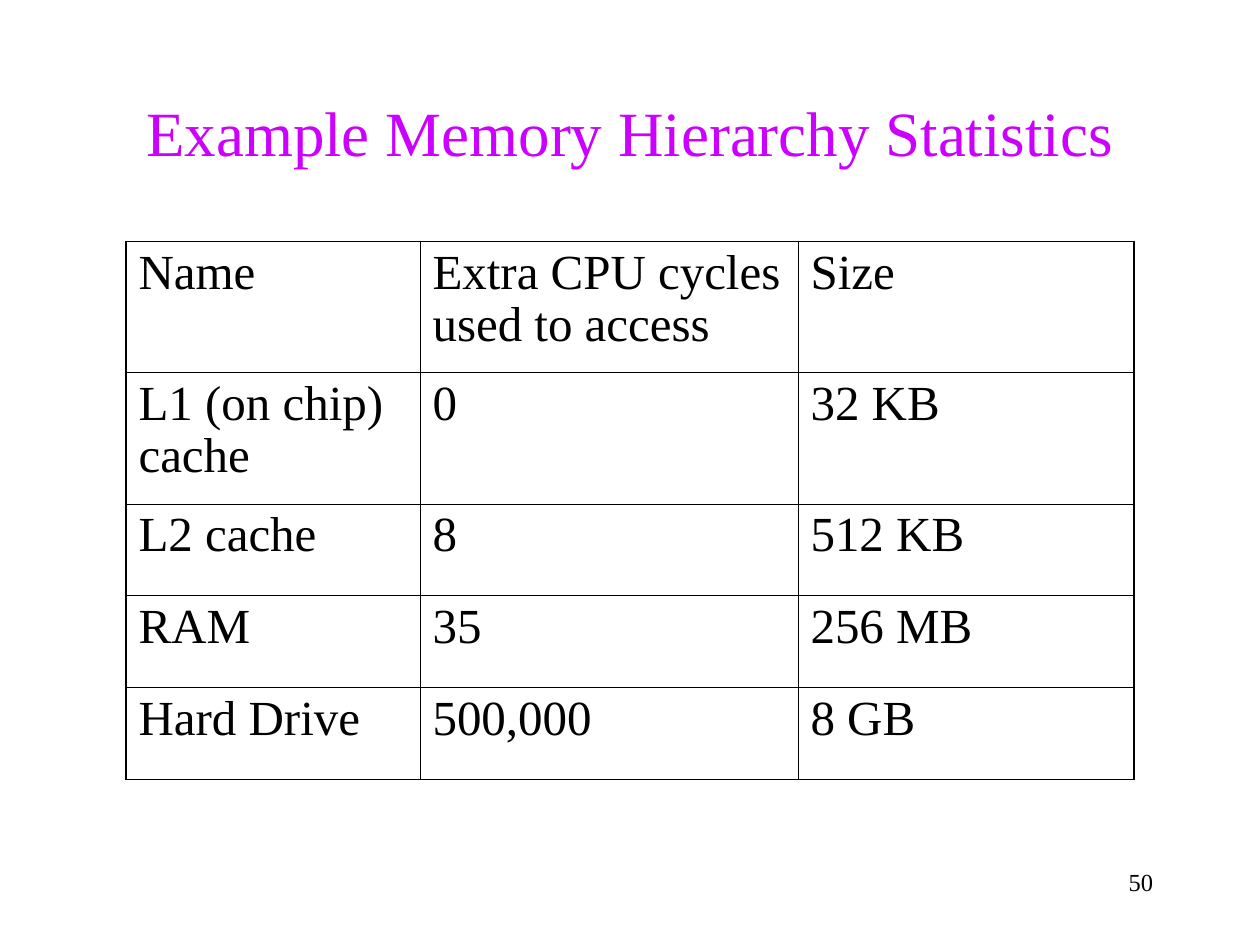
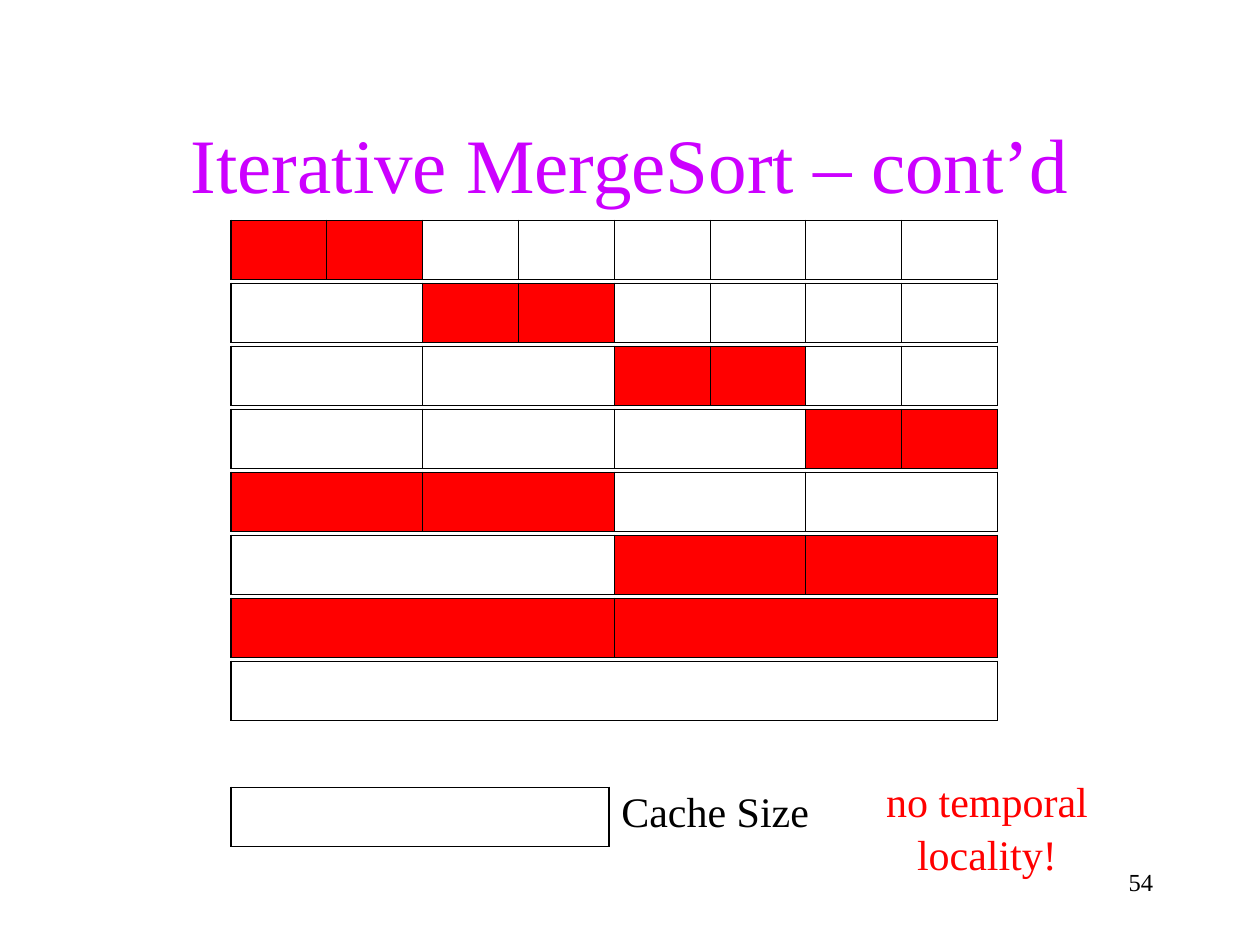
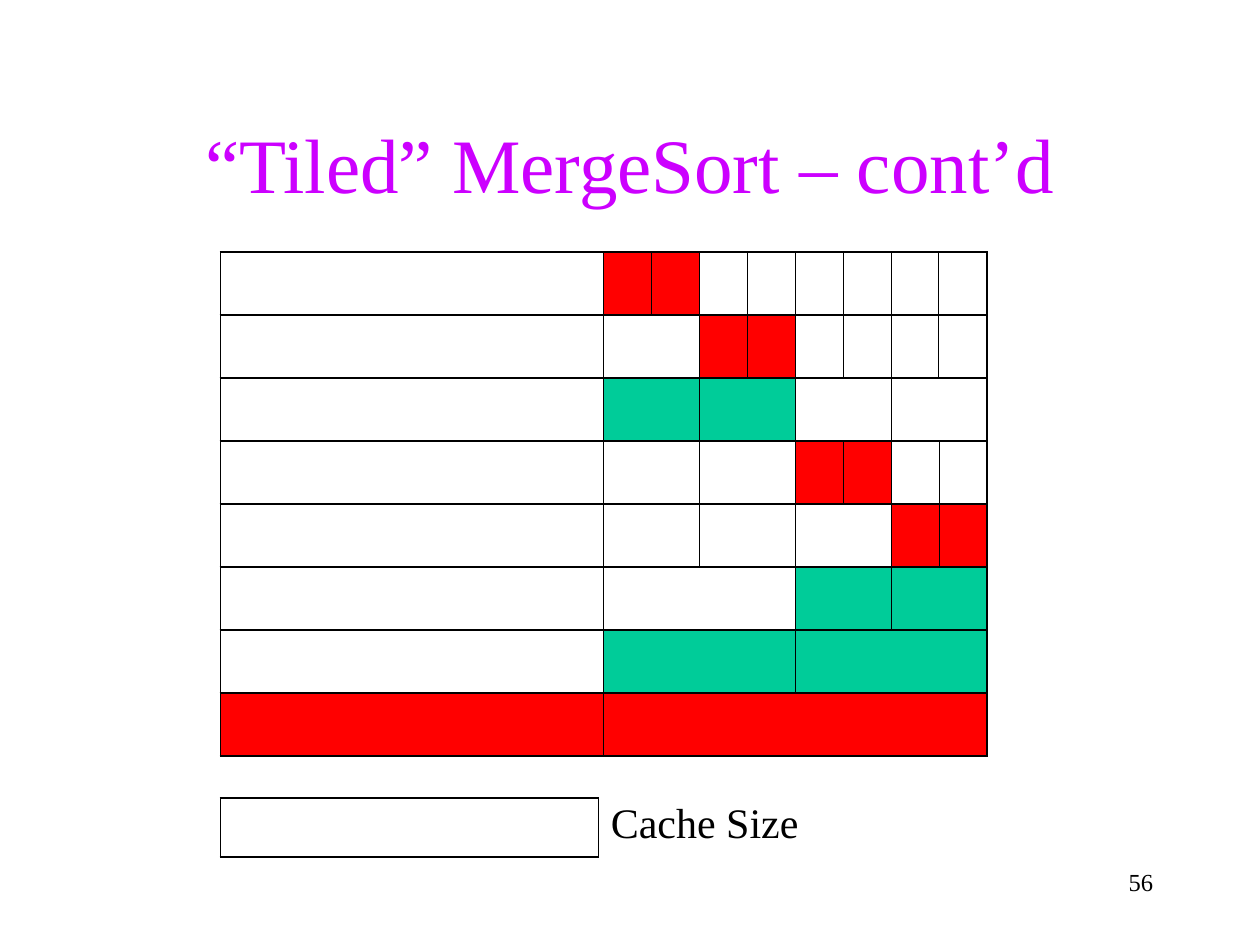
from lxml import etree
from pptx import Presentation
from pptx.dml.color import RGBColor
from pptx.enum.text import MSO_ANCHOR, MSO_AUTO_SIZE, PP_ALIGN
from pptx.oxml.ns import qn
from pptx.util import Pt

LEFT, CENTER, RIGHT = PP_ALIGN.LEFT, PP_ALIGN.CENTER, PP_ALIGN.RIGHT
MIDDLE = MSO_ANCHOR.MIDDLE
NO_AUTOFIT = MSO_AUTO_SIZE.NONE

PX = 9525
FONT = "Times New Roman"
COLORS = {"title": "CC00FF", "ink": "000000", "red": "FF0000", "green": "00CC99"}
OUTER_LINE, INNER_LINE = Pt(1.08), Pt(0.45)
GRID_WIDTH, CACHE_WIDTH, BAR_HEIGHT = 584, 288, 45


def write_text(text_frame, text, size, color, alignment, spacing=1.0):
    paragraph = text_frame.paragraphs[0]
    paragraph.alignment = alignment
    paragraph.line_spacing = spacing
    run = paragraph.add_run()
    run.text = text
    run.font.name = FONT
    run.font.size = Pt(size)
    run.font.color.rgb = RGBColor.from_string(COLORS[color])


def add_grid(slide, left, top, width, shares, heights):
    frame = slide.shapes.add_table(len(heights), len(shares), left * PX, top * PX,
                                   width * PX, sum(heights) * PX)
    table = frame.table
    table.first_row = False
    table.horz_banding = False
    for column, share in zip(table.columns, shares):
        column.width = width * PX * share // sum(shares)
    last_row, last_column = len(heights) - 1, len(shares) - 1
    for row_index, height in enumerate(heights):
        table.rows[row_index].height = height * PX
        for column_index in range(len(shares)):
            cell = table.cell(row_index, column_index)
            properties = cell._tc.get_or_add_tcPr()
            edges = {"a:lnL": column_index == 0, "a:lnR": column_index == last_column,
                     "a:lnT": row_index == 0, "a:lnB": row_index == last_row}
            for tag, is_outer in edges.items():
                line = etree.SubElement(properties, qn(tag))
                line.set("w", str(OUTER_LINE if is_outer else INNER_LINE))
                solid = etree.SubElement(line, qn("a:solidFill"))
                etree.SubElement(solid, qn("a:srgbClr")).set("val", COLORS["ink"])
            cell.fill.background()
    return table


presentation = Presentation()
presentation.slide_width = 960 * PX
presentation.slide_height = 720 * PX

slides = []
for title_text, title_top, title_size, number in [
    ("Example Memory Hierarchy Statistics", 40, 36, "50"),
    ("Iterative MergeSort – cont’d", 64, 44, "54"),
    ("“Tiled” MergeSort – cont’d", 64, 44, "56"),
]:
    slide = presentation.slides.add_slide(presentation.slide_layouts[5])
    title = slide.shapes.title
    title.left, title.top = 72 * PX, title_top * PX
    title.width, title.height = 816 * PX, 120 * PX
    title.text_frame.auto_size = NO_AUTOFIT
    title.text_frame.vertical_anchor = MIDDLE
    write_text(title.text_frame, title_text, title_size, "title", CENTER)
    number_box = slide.shapes.add_textbox(688 * PX, 656 * PX, 200 * PX, 48 * PX)
    number_box.text_frame.word_wrap = True
    write_text(number_box.text_frame, number, 14, "ink", RIGHT)
    slides.append(slide)
statistics_slide, iterative_slide, tiled_slide = slides

statistics = [
    ["Name", "Extra CPU cycles used to access", "Size"],
    ["L1 (on chip) cache", "0", "32 KB"],
    ["L2 cache", "8", "512 KB"],
    ["RAM", "35", "256 MB"],
    ["Hard Drive", "500,000", "8 GB"],
]
statistics_table = add_grid(statistics_slide, 96, 184, 768, [224, 288, 256],
                            [100, 100, 70, 70, 70])
for row_index, values in enumerate(statistics):
    for column_index, value in enumerate(values):
        cell = statistics_table.cell(row_index, column_index)
        write_text(cell.text_frame, value, 28, "ink", LEFT, 0.96)

iterative_steps = [
    ([2] * 8, "red", 0),
    ([4] + [2] * 6, "red", 1),
    ([4] * 2 + [2] * 4, "red", 2),
    ([4] * 3 + [2] * 2, "red", 3),
    ([4] * 4, "red", 0),
    ([8, 4, 4], "red", 1),
    ([8, 8], "red", 0),
    ([16], None, 0),
]
tiled_steps = [
    ([8] + [1] * 8, "red", 1),
    ([8, 2] + [1] * 6, "red", 2),
    ([8] + [2] * 4, "green", 1),
    ([8, 2, 2] + [1] * 4, "red", 3),
    ([8, 2, 2, 2, 1, 1], "red", 4),
    ([8, 4, 2, 2], "green", 2),
    ([8, 4, 4], "green", 1),
    ([8, 8], "red", 0),
]
for slide, steps, left, top, step_height, cache_top in [
    (iterative_slide, iterative_steps, 176, 168, BAR_HEIGHT, 600),
    (tiled_slide, tiled_steps, 168, 192, 48, 608),
]:
    for step_index, (shares, color, first_merged) in enumerate(steps):
        bar = add_grid(slide, left, top + 48 * step_index, GRID_WIDTH, shares, [step_height])
        if color:
            for column_index in (first_merged, first_merged + 1):
                fill = bar.cell(0, column_index).fill
                fill.solid()
                fill.fore_color.rgb = RGBColor.from_string(COLORS[color])
    add_grid(slide, left, cache_top, CACHE_WIDTH, [1], [BAR_HEIGHT])
    cache_label = slide.shapes.add_textbox((left + CACHE_WIDTH) * PX, (cache_top - 8) * PX,
                                           162 * PX, 48 * PX)
    cache_label.text_frame.word_wrap = False
    write_text(cache_label.text_frame, "Cache Size", 24, "ink", LEFT, 1.05)

locality_note = iterative_slide.shapes.add_textbox(664 * PX, 584 * PX, 176 * PX, 86 * PX)
locality_note.text_frame.word_wrap = True
write_text(locality_note.text_frame, "no temporal locality!", 24, "red", CENTER, 1.05)

presentation.save("out.pptx")
